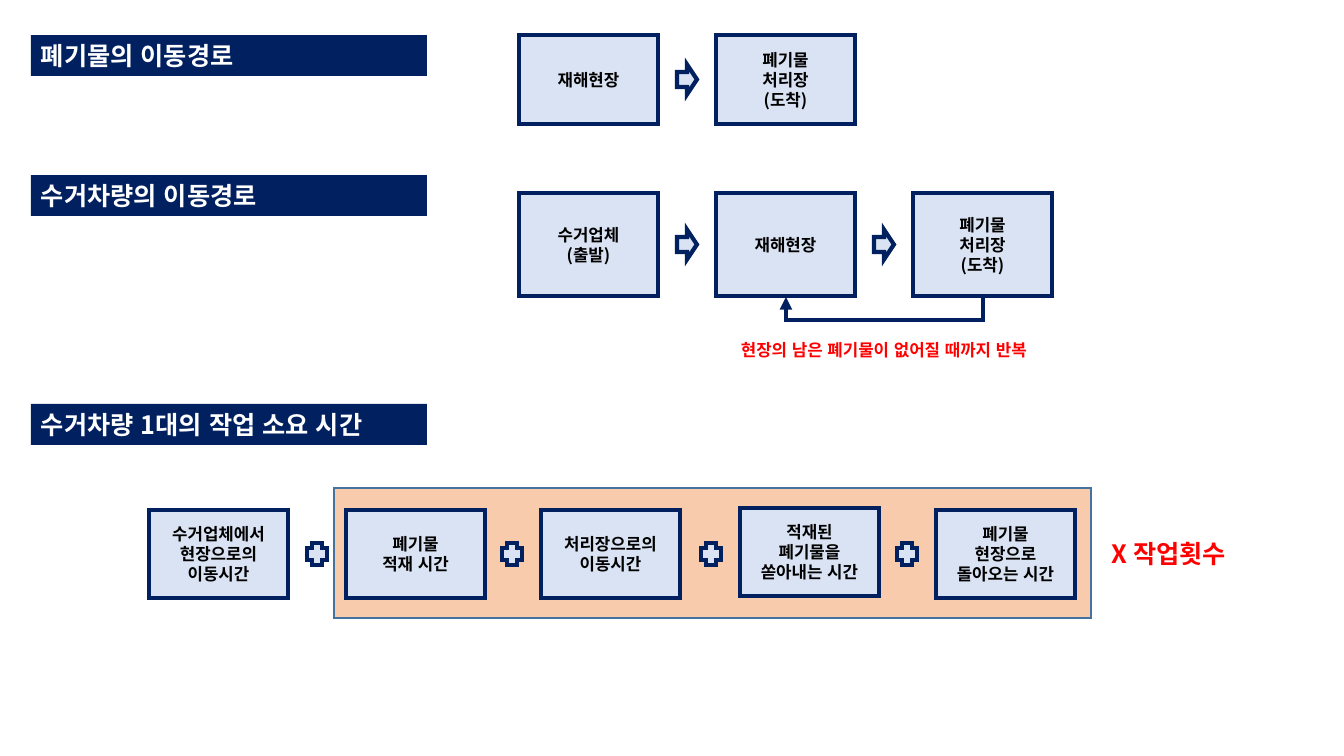
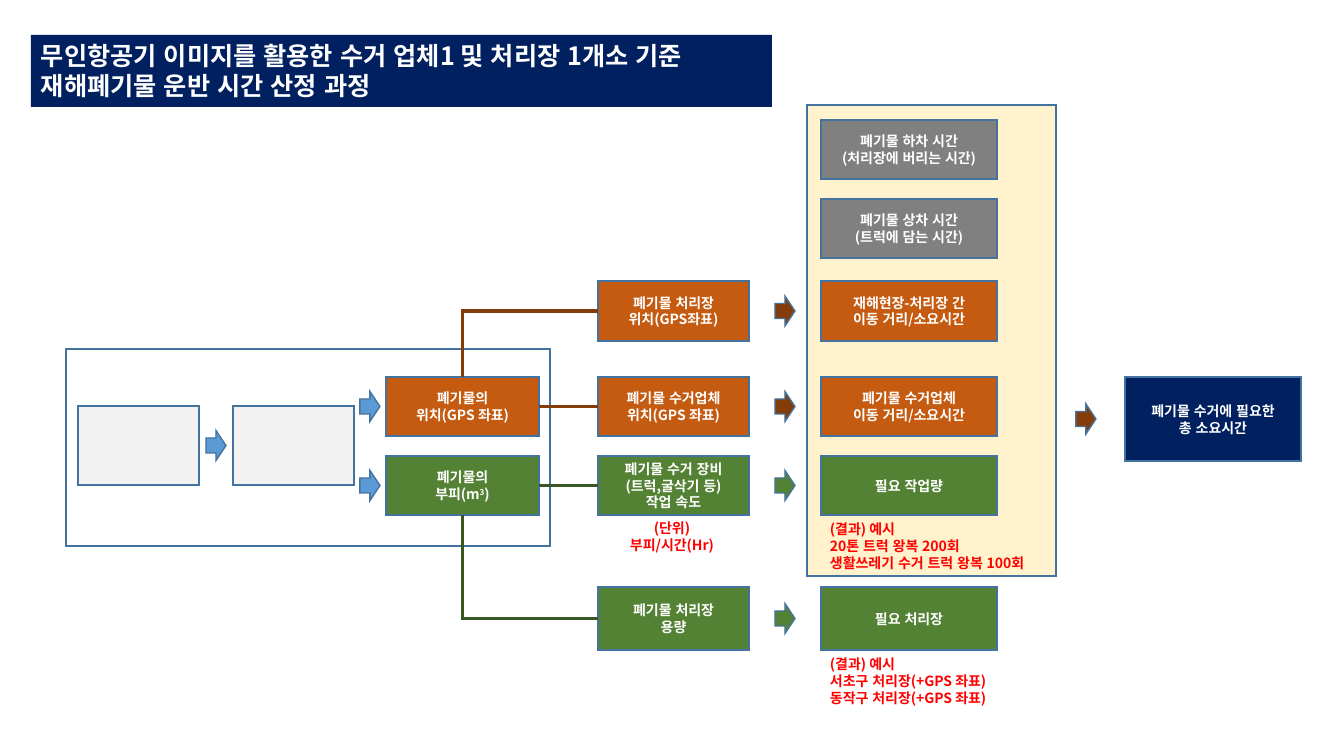
"""Build two slides on hauling disaster waste: routes and time estimate."""
from lxml import etree
from pptx import Presentation
from pptx.dml.color import RGBColor
from pptx.enum.lang import MSO_LANGUAGE_ID as Lang
from pptx.enum.shapes import MSO_CONNECTOR as Link, MSO_SHAPE as Form
from pptx.enum.text import MSO_ANCHOR as Anchor, PP_ALIGN as Align
from pptx.oxml.ns import qn
from pptx.util import Emu, Pt

FONT = "Noto Sans CJK KR"
NAVY, PALE, EDGE, RED = "002060", "DAE3F3", "43739E", "FF0000"
WHITE, BLACK, PEACH, CREAM = "FFFFFF", "000000", "F8CBAD", "FFF2CC"
GRAY, MIST, BLUE = "808080", "F2F2F2", "5B9BD5"
RUST, BROWN, GREEN, MOSS = "C55A11", "843C0B", "548235", "385723"

HEADS = [
    (35, "폐기물의 이동경로"),
    (175, "수거차량의 이동경로"),
    (404, "수거차량 1대의 작업 소요 시간"),
]
CHAINS = [
    (35, 89, Form.RIGHT_ARROW, (20, 30), [
        (519, 0, "재해현장"), (716, 0, "폐기물\n처리장\n(도착)")]),
    (193, 103, Form.RIGHT_ARROW, (20, 30), [
        (519, 0, "수거업체\n(출발)"), (716, 0, "재해현장"), (913, 0, "폐기물\n처리장\n(도착)")]),
    (510, 88, Form.CROSS, (20, 22), [
        (149, 0, "수거업체에서\n현장으로의\n이동시간"), (346, 0, "폐기물\n적재 시간"),
        (541, 0, "처리장으로의\n이동시간"), (740, -2, "적재된\n폐기물을\n쏟아내는 시간"),
        (936, 0, "폐기물\n현장으로\n돌아오는 시간")]),
]
WIDE, GAP = 139, 58

TITLE = "무인항공기 이미지를 활용한 수거 업체1 및 처리장 1개소 기준\n재해폐기물 운반 시간 산정 과정"
COLS = {"photo": (78, 121), "cloud": (233, 121), "waste": (386, 153),
        "input": (598, 151), "result": (821, 176), "total": (1125, 176)}
ROWS = {"unload": (120, 59), "load": (199, 59), "plant": (281, 60), "firm": (377, 59),
        "gear": (456, 59), "room": (587, 63), "scan": (406, 79), "sum": (377, 84)}
CELLS = [
    ("photo", "scan", MIST, ""),
    ("cloud", "scan", MIST, ""),
    ("waste", "firm", RUST, "폐기물의\n위치(GPS 좌표)"),
    ("waste", "gear", GREEN, "폐기물의\n부피(m^3^)"),
    ("input", "plant", RUST, "폐기물 처리장\n위치(GPS좌표)"),
    ("input", "firm", RUST, "폐기물 수거업체\n위치(GPS 좌표)"),
    ("input", "gear", GREEN, "폐기물 수거 장비\n(트럭,굴삭기 등)\n작업 속도"),
    ("input", "room", GREEN, "폐기물 처리장\n용량"),
    ("result", "unload", GRAY, "폐기물 하차 시간\n(처리장에 버리는 시간)"),
    ("result", "load", GRAY, "폐기물 상차 시간\n(트럭에 담는 시간)"),
    ("result", "plant", RUST, "재해현장-처리장 간\n이동 거리/소요시간"),
    ("result", "firm", RUST, "폐기물 수거업체\n이동 거리/소요시간"),
    ("result", "gear", GREEN, "필요 작업량"),
    ("result", "room", GREEN, "필요 처리장"),
    ("total", "sum", NAVY, "폐기물 수거에 필요한\n총 소요시간"),
]
ARROWS = [
    (216, "scan", BLUE), (370, "firm", BLUE), (370, "gear", BLUE),
    (785, "plant", BROWN), (785, "firm", BROWN), (785, "gear", GREEN),
    (785, "room", GREEN), (1086, "sum", BROWN),
]
NOTES = [
    ((617, 515, 110, 44), Align.CENTER, "(단위) 부피/시간(Hr)"),
    ((820, 516, 246, 61), Align.LEFT, "(결과) 예시\n20톤 트럭 왕복 200회\n생활쓰레기 수거 트럭 왕복 100회"),
    ((820, 651, 191, 61), Align.LEFT, "(결과) 예시\n서초구 처리장(+GPS 좌표)\n동작구 처리장(+GPS 좌표)"),
]


def px(num):
    return Emu(round(num * 914400 / 100.8))


def rgb(code):
    return RGBColor.from_string(code)


def write(shape, text, size, ink, align=Align.CENTER, anchor=Anchor.MIDDLE):
    frame = shape.text_frame
    frame.word_wrap, frame.vertical_anchor = True, anchor
    for num, line in enumerate(text.split("\n")):
        para = frame.add_paragraph() if num else frame.paragraphs[0]
        para.alignment = align
        for spot, part in enumerate(line.split("^")):
            run = para.add_run()
            run.text = part
            font = run.font
            font.name, font.size, font.bold = FONT, Pt(size), True
            font.language_id = Lang.KOREAN
            font.color.rgb = rgb(ink)
            props = run._r.get_or_add_rPr()
            etree.SubElement(props, qn("a:ea"), typeface=FONT)
            if spot % 2:
                props.set("baseline", "30000")


def block(page, box, fill, line=EDGE, width=1, form=Form.RECTANGLE):
    shape = page.shapes.add_shape(form, *map(px, box))
    shape.shadow.inherit = False
    shape.fill.solid()
    shape.fill.fore_color.rgb = rgb(fill)
    if line:
        shape.line.color.rgb = rgb(line)
        shape.line.width = Pt(width)
        edge = shape._element.spPr.find(qn("a:ln"))
        etree.SubElement(edge, qn("a:miter"), lim="800000")
    else:
        shape.line.fill.background()
    return shape


def sign(page, mid, size, form, *look):
    (x, y), (w, h) = mid, size
    block(page, (x - w / 2, y - h / 2, w, h), *look, form=form)


def head(page, box, text):
    write(block(page, box, NAVY, None), text, 18, WHITE, Align.LEFT, Anchor.TOP)


def note(page, box, text, size, align):
    area = page.shapes.add_textbox(*map(px, box))
    write(area, text, size, RED, align, Anchor.TOP)


def wire(page, ends, color, width, kind=Link.STRAIGHT):
    link = page.shapes.add_connector(kind, *map(px, ends))
    link.line.color.rgb = rgb(color)
    link.line.width = Pt(width)
    props = link._element.spPr
    etree.SubElement(props.find(qn("a:ln")), qn("a:miter"), lim="800000")
    etree.SubElement(props, qn("a:effectLst"))
    return link


def elbow(page, start, end, color, width, turn, preset, bend=None):
    """Draw a bent connector that leaves its start vertically."""
    (x1, y1), (x2, y2) = start, end
    x, y, w, h = (x1 + x2) / 2, (y1 + y2) / 2, y1 - y2, abs(x2 - x1)
    ends = x - w / 2, y - h / 2, x + w / 2, y + h / 2
    link = wire(page, ends, color, width, Link.ELBOW)
    props = link._element.spPr
    props.find(qn("a:xfrm")).set("rot", str(turn * 60000))
    shape = props.find(qn("a:prstGeom"))
    shape.set("prst", preset)
    if bend:
        etree.SubElement(shape.find(qn("a:avLst")), qn("a:gd"), name="adj1", fmla=f"val {bend}")
        etree.SubElement(props.find(qn("a:ln")), qn("a:tailEnd"), type="triangle")


def routes(page):
    for top, text in HEADS:
        head(page, (31, top, 396, 41), text)
    block(page, (334, 488, 757, 130), PEACH)
    for top, high, form, size, steps in CHAINS:
        for num, (x, lift, text) in enumerate(steps):
            box = x, top + lift, WIDE, high
            write(block(page, box, PALE, NAVY, 3), text, 12, BLACK)
            if num:
                mid = x - GAP / 2, top + high / 2
                sign(page, mid, size, form, PALE, NAVY, 3)
    elbow(page, (983, 297), (786, 296), NAVY, 3, 90, "bentConnector3", 2400000)
    note(page, (705, 335, 358, 30), "현장의 남은 폐기물이 없어질 때까지 반복", 12, Align.CENTER)
    note(page, (1102, 533, 148, 40), "X 작업횟수", 18, Align.LEFT)


def times(page):
    def center(row):
        top, high = ROWS[row]
        return top + high / 2

    block(page, (807, 105, 249, 471), CREAM)
    block(page, (66, 349, 484, 197), WHITE)
    head(page, (31, 35, 741, 72), TITLE)
    for col, row, fill, text in CELLS:
        (x, w), (y, h) = COLS[col], ROWS[row]
        cell = block(page, (x, y, w, h), fill)
        if text:
            write(cell, text, 10, WHITE)
    for x, row, fill in ARROWS:
        sign(page, (x, center(row)), (20, 30), Form.RIGHT_ARROW, fill)
    left, wide = COLS["waste"]
    goal = COLS["input"][0]
    for row, far, edge, color in [("firm", "plant", 377, BROWN), ("gear", "room", 515, MOSS)]:
        wire(page, (left + wide, center(row), goal, center(row)), color, 2.25)
        start = left + wide / 2, edge
        elbow(page, start, (goal, center(far)), color, 2.25, 270, "bentConnector2")
    for box, align, text in NOTES:
        note(page, box, text, 10, align)


def main():
    deck = Presentation()
    deck.slide_width, deck.slide_height = px(1344), px(756)
    for draw in (routes, times):
        draw(deck.slides.add_slide(deck.slide_layouts[6]))
    deck.save("out.pptx")


if __name__ == "__main__":
    main()
